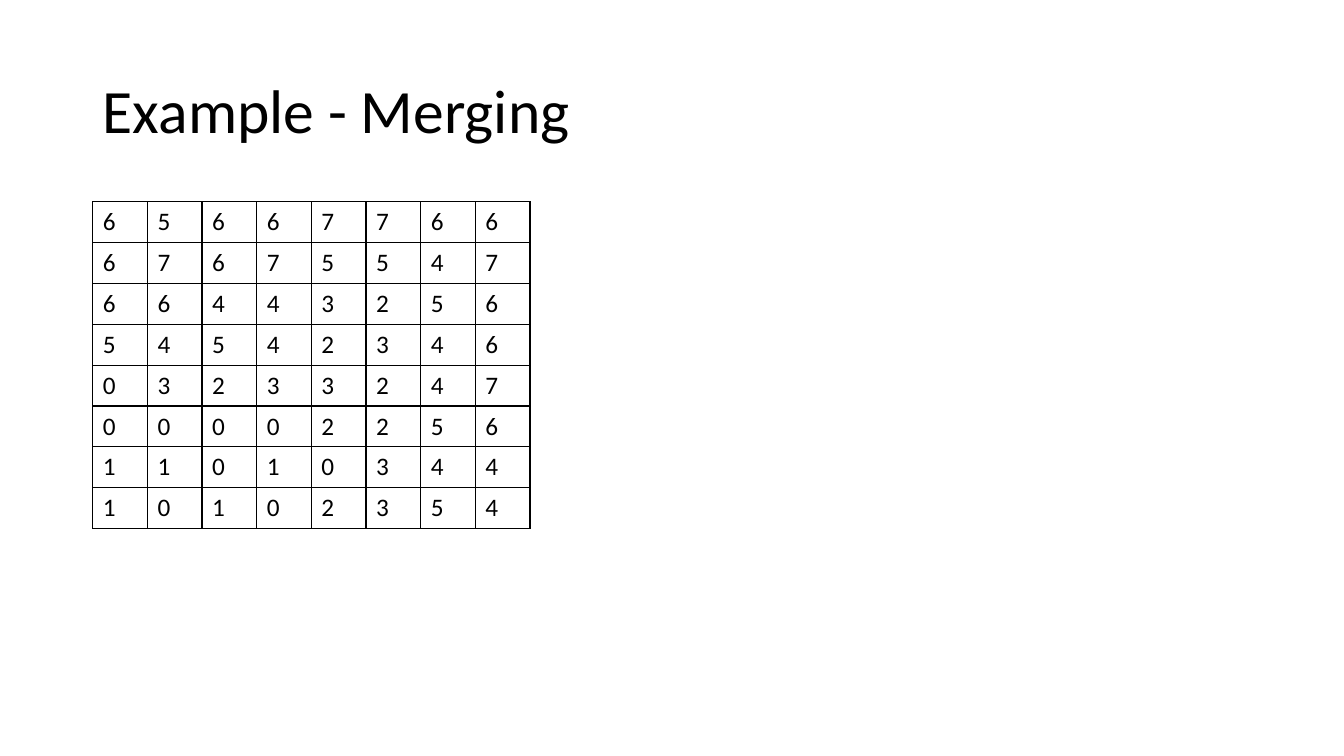
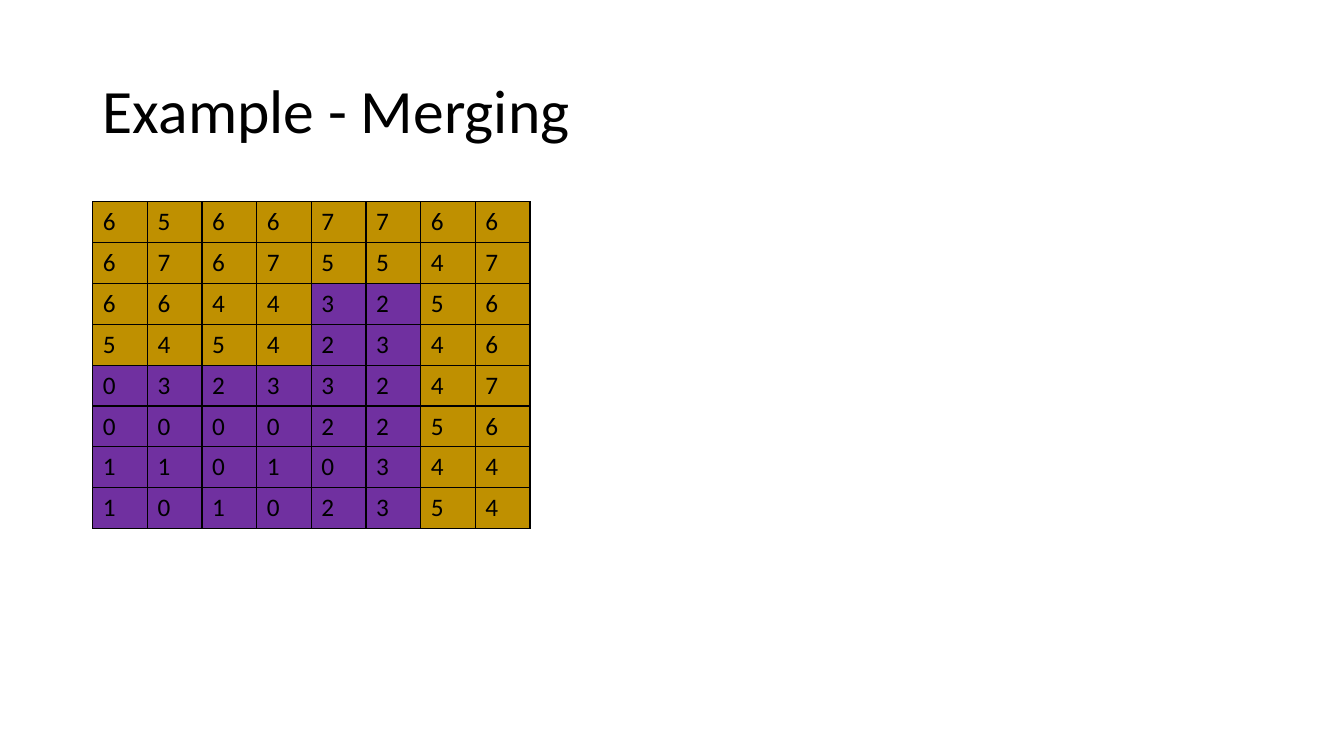
from lxml.etree import SubElement
from pptx import Presentation
from pptx.dml.color import RGBColor
from pptx.enum.text import MSO_ANCHOR, PP_ALIGN
from pptx.oxml.ns import qn
from pptx.util import Inches, Pt

BLACK = RGBColor(0x00, 0x00, 0x00)
GOLD = RGBColor(0xBF, 0x90, 0x00)
PURPLE = RGBColor(0x70, 0x30, 0xA0)
FONT = "Calibri"
LEFT = Inches(0.92)
MERGE_THRESHOLD = 4
INTENSITIES = (
    "65667766",
    "67675547",
    "66443256",
    "54542346",
    "03233247",
    "00002256",
    "11010344",
    "10102354",
)


def style_font(font, size):
    """Apply the shared typeface and colour at the given point size."""
    font.name = FONT
    font.size = Pt(size)
    font.bold = False
    font.color.rgb = BLACK


def add_title(slide, text):
    """Place and format the title placeholder."""
    title = slide.shapes.title
    place = {"left": LEFT, "top": Inches(0.4), "width": Inches(11.5), "height": Inches(1.45)}
    for attribute, value in place.items():
        setattr(title, attribute, value)
    frame = title.text_frame
    frame.text = text
    frame.vertical_anchor = MSO_ANCHOR.MIDDLE
    heading = frame.paragraphs[0]
    heading.alignment = PP_ALIGN.LEFT
    heading.line_spacing = 0.9
    style_font(heading.font, 44)


def add_borders(cell):
    """Draw a thin black line on every side of a cell."""
    properties = cell._tc.get_or_add_tcPr()
    for side in ("a:lnL", "a:lnR", "a:lnT", "a:lnB"):
        line = SubElement(properties, qn(side), w=str(Pt(1)))
        fill = SubElement(line, qn("a:solidFill"))
        SubElement(fill, qn("a:srgbClr"), val=str(BLACK))


def region_color(value):
    """Return the colour of the merged region that holds the value."""
    return GOLD if value >= MERGE_THRESHOLD else PURPLE


def add_intensity_grid(slide, show_regions):
    """Add the table of intensities, coloured by region when asked."""
    rows, columns = len(INTENSITIES), len(INTENSITIES[0])
    grid = slide.shapes.add_table(
        rows, columns, LEFT, Inches(2), Inches(4.34), Inches(3.24)
    ).table
    grid.first_row = False
    grid.horz_banding = False
    for row, digits in enumerate(INTENSITIES):
        for column, digit in enumerate(digits):
            cell = grid.cell(row, column)
            cell.text = digit
            style_font(cell.text_frame.paragraphs[0].runs[0].font, 18)
            add_borders(cell)
            if show_regions:
                cell.fill.solid()
                cell.fill.fore_color.rgb = region_color(int(digit))
            else:
                cell.fill.background()


def main():
    """Build and save the merging example."""
    deck = Presentation()
    deck.slide_width = Inches(13.33)
    deck.slide_height = Inches(7.5)
    title_only = deck.slide_layouts.get_by_name("Title Only")
    for show_regions in (False, True):
        slide = deck.slides.add_slide(title_only)
        add_title(slide, "Example - Merging")
        add_intensity_grid(slide, show_regions)
    deck.save("out.pptx")


if __name__ == "__main__":
    main()
